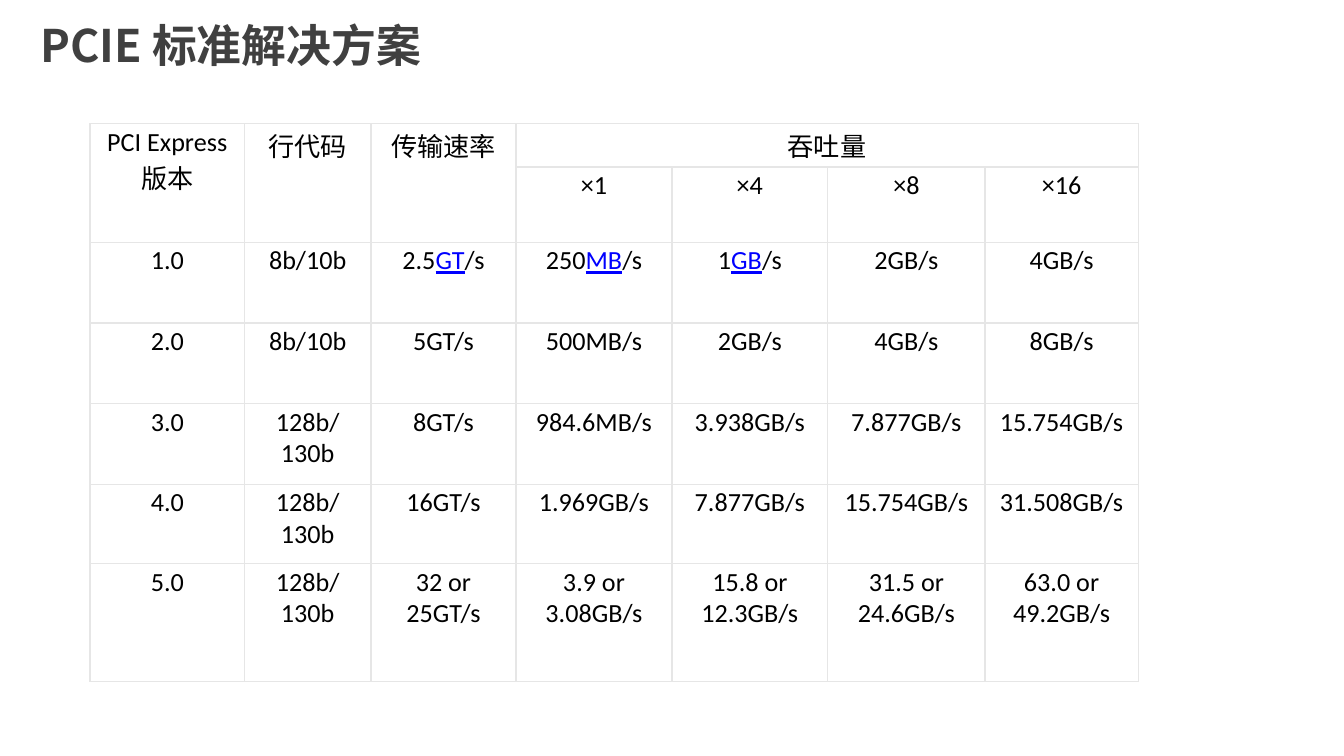
"""Build a slide with a table of PCI Express versions and throughput."""
import lxml.etree
import pptx
import pptx.dml.color
import pptx.enum.text
import pptx.oxml.ns
import pptx.util
from dataclasses import dataclass

Inches = pptx.util.Inches
Pt = pptx.util.Pt
RGB = pptx.dml.color.RGBColor.from_string
qn = pptx.oxml.ns.qn


@dataclass(frozen=True)
class Theme:
    heading: str = "404040"
    text: str = "000000"
    link: str = "0000FF"
    grid: str = "E6E6E6"
    latin: str = "Calibri"
    chinese: str = "Noto Sans CJK SC"
    heading_size: int = 24
    text_size: int = 14
    grid_width: float = 0.75


theme = Theme()


def add_text(paragraph, text, color, **formats):
    run = paragraph.add_run()
    run.text = text
    for key, value in formats.items():
        setattr(run.font, key, value)
    run.font.color.rgb = RGB(color)
    lxml.etree.SubElement(run._r.get_or_add_rPr(), qn("a:ea"), typeface=theme.chinese)


def add_borders(cell):
    properties = cell._tc.get_or_add_tcPr()
    for position, side in enumerate(("a:lnL", "a:lnR", "a:lnT", "a:lnB")):
        line = lxml.etree.Element(qn(side), w=str(Pt(theme.grid_width)))
        fill = lxml.etree.SubElement(line, qn("a:solidFill"))
        lxml.etree.SubElement(fill, qn("a:srgbClr"), val=theme.grid)
        properties.insert(position, line)


deck = pptx.Presentation()
deck.slide_width = Inches(10)
deck.slide_height = Inches(10) * 9 // 16
slide = deck.slides.add_slide(deck.slide_layouts[5])

heading = slide.shapes.title
heading_place = {"left": 0.2, "top": 0.14, "width": 8.27, "height": 0.51}
for key, value in heading_place.items():
    setattr(heading, key, Inches(value))
heading_frame = {
    "margin_left": Inches(0.1),
    "margin_right": Inches(0.1),
    "margin_top": Inches(0.04),
    "margin_bottom": Inches(0.04),
    "word_wrap": True,
    "auto_size": pptx.enum.text.MSO_AUTO_SIZE.NONE,
    "vertical_anchor": pptx.enum.text.MSO_ANCHOR.TOP,
}
for key, value in heading_frame.items():
    setattr(heading.text_frame, key, value)
heading_line = heading.text_frame.paragraphs[0]
heading_line.alignment = pptx.enum.text.PP_ALIGN.LEFT
heading_line.line_spacing = 0.9
add_text(heading_line, "PCIE 标准解决方案", theme.heading,
         name=theme.chinese, size=Pt(theme.heading_size), bold=True)

versions = [
    ["PCI Express 版本", "行代码", "传输速率", "吞吐量", "", "", ""],
    ["", "", "", "×1", "×4", "×8", "×16"],
    ["1.0", "8b/10b", "2.5|GT|/s", "250|MB|/s", "1|GB|/s", "2GB/s", "4GB/s"],
    ["2.0", "8b/10b", "5GT/s", "500MB/s", "2GB/s", "4GB/s", "8GB/s"],
    ["3.0", "128b/130b", "8GT/s", "984.6MB/s", "3.938GB/s", "7.877GB/s", "15.754GB/s"],
    ["4.0", "128b/130b", "16GT/s", "1.969GB/s", "7.877GB/s", "15.754GB/s", "31.508GB/s"],
    ["5.0", "128b/130b", "32 or 25GT/s", "3.9 or 3.08GB/s", "15.8 or 12.3GB/s",
     "31.5 or 24.6GB/s", "63.0 or 49.2GB/s"],
]
column_widths = [1.15, 0.94, 1.08, 1.16, 1.16, 1.17, 1.14]
row_heights = [0.32, 0.55, 0.6, 0.6, 0.6, 0.59, 0.88]

throughput = slide.shapes.add_table(
    len(versions), len(column_widths), Inches(0.67), Inches(0.92),
    Inches(sum(column_widths)), Inches(sum(row_heights))).table
throughput.first_row = False
throughput.horz_banding = False
for column, width in zip(throughput.columns, column_widths):
    column.width = Inches(width)
for row, height in zip(throughput.rows, row_heights):
    row.height = Inches(height)

for column in range(3):
    throughput.cell(0, column).merge(throughput.cell(1, column))
throughput.cell(0, 3).merge(throughput.cell(0, 6))

cell_margins = {"margin_left": 0.08, "margin_right": 0.08,
                "margin_top": 0.02, "margin_bottom": 0.02}
for row, values in enumerate(versions):
    for column, value in enumerate(values):
        cell = throughput.cell(row, column)
        cell.fill.background()
        add_borders(cell)
        for key, margin in cell_margins.items():
            setattr(cell, key, Inches(margin))
        paragraph = cell.text_frame.paragraphs[0]
        paragraph.alignment = pptx.enum.text.PP_ALIGN.CENTER
        for index, part in enumerate(value.split("|") if value else []):
            linked = index % 2 == 1
            add_text(paragraph, part, theme.link if linked else theme.text,
                     name=theme.latin, size=Pt(theme.text_size), underline=linked)

deck.save("out.pptx")
